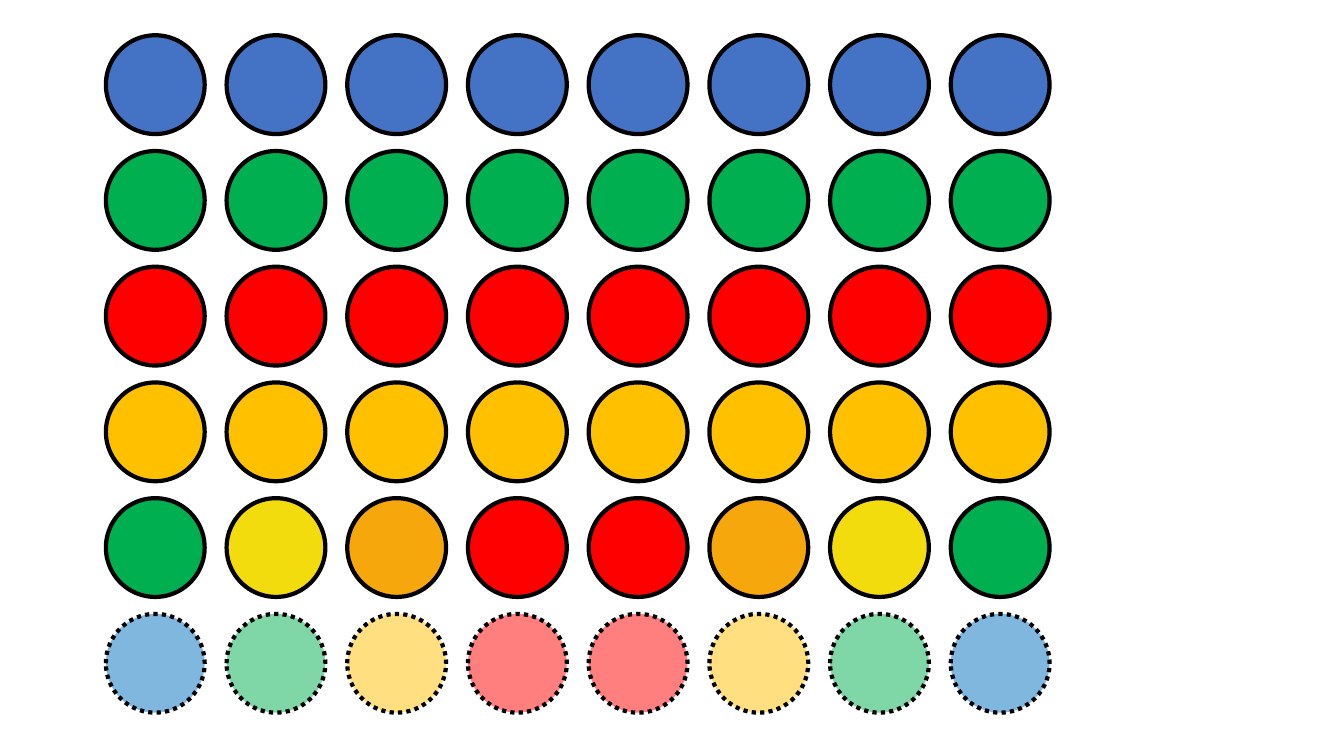
from lxml import etree
from pptx import Presentation
from pptx.dml.color import RGBColor
from pptx.enum.dml import MSO_LINE
from pptx.enum.shapes import MSO_SHAPE
from pptx.oxml.ns import qn
from pptx.util import Inches, Pt

COLORS = {
    "blue": "4472C4",
    "deep blue": "0070C0",
    "green": "00B050",
    "red": "FF0000",
    "gold": "FFC000",
    "yellow": "F2DC0E",
    "orange": "F5A70B",
    "outline": "000000",
}
COLUMNS = 8
SOLID_ROWS = [
    ["blue"] * COLUMNS,
    ["green"] * COLUMNS,
    ["red"] * COLUMNS,
    ["gold"] * COLUMNS,
    ["green", "yellow", "orange", "red", "red", "orange", "yellow", "green"],
]
DOTTED_ROW = ["deep blue", "green", "gold", "red", "red", "gold", "green", "deep blue"]
ROWS = [(row, False) for row in SOLID_ROWS] + [(DOTTED_ROW, True)]

LEFT, LAST_LEFT = 1.05, 9.43
TOP, LAST_TOP = 0.35, 6.09
DIAMETER = 0.98
COLUMN_STEP = (LAST_LEFT - LEFT) / (COLUMNS - 1)
ROW_STEP = (LAST_TOP - TOP) / (len(ROWS) - 1)


def add_circle(slide, left, top, color, dotted):
    circle = slide.shapes.add_shape(
        MSO_SHAPE.OVAL, Inches(left), Inches(top), Inches(DIAMETER), Inches(DIAMETER)
    )
    circle.shadow.inherit = False
    circle.fill.solid()
    circle.fill.fore_color.rgb = RGBColor.from_string(COLORS[color])
    circle.line.color.rgb = RGBColor.from_string(COLORS["outline"])
    circle.line.width = Pt(3)
    if dotted:
        circle.line.dash_style = MSO_LINE.ROUND_DOT
        fill_color = circle._element.spPr.find(qn("a:solidFill")).find(qn("a:srgbClr"))
        etree.SubElement(fill_color, qn("a:alpha")).set("val", "50000")


def main():
    deck = Presentation()
    deck.slide_width, deck.slide_height = Inches(13.33), Inches(7.5)
    slide = deck.slides.add_slide(deck.slide_layouts[6])
    for row, (circle_colors, dotted) in enumerate(ROWS):
        for column, color in enumerate(circle_colors):
            add_circle(
                slide, LEFT + column * COLUMN_STEP, TOP + row * ROW_STEP, color, dotted
            )
    deck.save("out.pptx")


if __name__ == "__main__":
    main()
